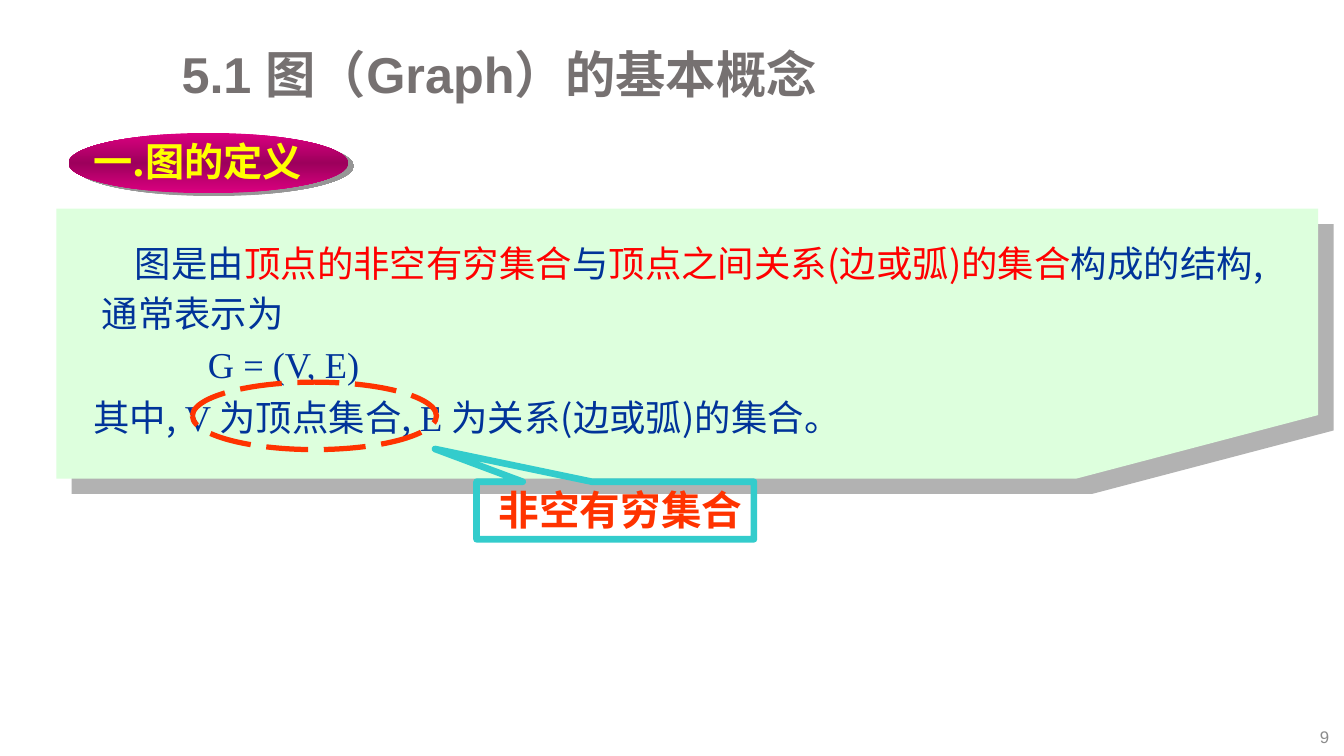
import pptx
import pptx.util
import pptx.dml.color
import pptx.enum.dml
import pptx.enum.shapes
import pptx.enum.text
import pptx.oxml
import pptx.oxml.ns
from dataclasses import dataclass
from pptx.util import Cm

qn = pptx.oxml.ns.qn
Pt = pptx.util.Pt
Shape = pptx.enum.shapes.MSO_SHAPE
Align = pptx.enum.text.PP_ALIGN
Anchor = pptx.enum.text.MSO_ANCHOR


@dataclass(frozen=True)
class Theme:
    sans: str = "Arial"
    han: str = "Noto Sans CJK SC"
    serif: str = "Times New Roman"
    gray: str = "767171"
    pale: str = "8C8C8C"
    mint: str = "DDFFDD"
    shade: str = "B2B2B2"
    dim: str = "969696"
    navy: str = "003399"
    red: str = "FF0000"
    pink: str = "DC0081"
    plum: str = "9D005C"
    gold: str = "FFFF00"
    teal: str = "33CCCC"
    flame: str = "FF3300"
    black: str = "000000"
    head: float = 36
    tag: float = 28
    note: float = 29
    body: float = 26
    foot: float = 12


theme = Theme()


def rgb(code):
    return pptx.dml.color.RGBColor.from_string(code)


def make(tag, inner="", **attrs):
    pairs = "".join(f' {key}="{val}"' for key, val in attrs.items())
    space = pptx.oxml.ns.nsdecls("a")
    return pptx.oxml.parse_xml(f"<a:{tag} {space}{pairs}>{inner}</a:{tag}>")


def cast(code, dist, angle):
    return make("outerShdw", f'<a:srgbClr val="{code}"/>', blurRad=0,
                dist=int(Pt(dist)), dir=int(angle * 60000), algn="ctr", rotWithShape=0)


def add_run(para, text, size, color, font=theme.han, bold=False):
    run = para.add_run()
    run.text = text
    run.font.size = Pt(size)
    run.font.bold = bold
    run.font.color.rgb = rgb(color)
    run.font.name = font
    run._r.rPr.find(qn("a:latin")).addnext(make("ea", typeface=theme.han))
    return run


def add_box(slide, left, top, width, height, wrap=True):
    box = slide.shapes.add_textbox(Cm(left), Cm(top), Cm(width), Cm(height))
    box.text_frame.word_wrap = wrap
    return box.text_frame


def add_form(slide, kind, left, top, width, height):
    form = slide.shapes.add_shape(kind, Cm(left), Cm(top), Cm(width), Cm(height))
    form.shadow.inherit = False
    return form


def add_frame(slide, kind, place, color, weight):
    form = add_form(slide, kind, *place)
    form.fill.background()
    form.line.color.rgb = rgb(color)
    form.line.width = Pt(weight)
    return form


def drop(form, *shade):
    form._element.spPr.find(qn("a:effectLst")).append(cast(*shade))


def add_title(slide):
    title = slide.shapes.title
    title.left, title.top, title.width, title.height = Cm(4.32), Cm(0.86), Cm(28.58), Cm(2.16)
    title.text_frame.vertical_anchor = Anchor.MIDDLE
    para = title.text_frame.paragraphs[0]
    para.alignment = Align.LEFT
    para.line_spacing = 0.9
    add_run(para, "5.1 图（Graph）的基本概念", theme.head, theme.gray, theme.sans, True)


def add_panel(slide):
    left, top, right, low = 1.42, 5.26, 33.22, 12.06
    edge = slide.shapes.build_freeform(Cm(left), Cm(top))
    edge.add_line_segments([(Cm(x), Cm(y)) for x, y in
                            [(right, top), (right, 10.46), (27.13, low), (left, low)]])
    panel = edge.convert_to_shape()
    panel.shadow.inherit = False
    panel.fill.solid()
    panel.fill.fore_color.rgb = rgb(theme.mint)
    panel.line.fill.background()
    drop(panel, theme.shade, 15.6, 45)


def add_body(slide):
    han, serif, navy, red = theme.han, theme.serif, theme.navy, theme.red
    lines = [
        (1.04, 0, [("图是由", navy, han), ("顶点的非空有穷集合", red, han), ("与", navy, han),
                   ("顶点之间关系(边或弧)的集合", red, han), ("构成的结构, 通常表示为", navy, han)]),
        (2.88, 0, [("G = (V, E)", navy, serif)]),
        (0, 2.6, [("其中, ", navy, han), ("V ", navy, serif), ("为顶点集合, ", navy, han),
                  ("E ", navy, serif), ("为关系(边或弧)的集合。", navy, han)]),
    ]
    frame = add_box(slide, 2.11, 5.79, 29.79, 5.44)
    for rank, (indent, gap, runs) in enumerate(lines):
        para = frame.add_paragraph() if rank else frame.paragraphs[0]
        para._p.get_or_add_pPr().set("indent", str(int(Cm(indent))))
        para.line_spacing = 1.15
        if gap:
            para.space_before = Pt(gap)
        for text, color, font in runs:
            add_run(para, text, theme.body, color, font)


def add_tag(slide):
    oval = add_form(slide, Shape.OVAL, 1.73, 3.35, 7.04, 1.52)
    oval.line.fill.background()
    oval.fill.gradient()
    stops = "".join(f'<a:gs pos="{spot}"><a:srgbClr val="{code}"/></a:gs>' for spot, code in
                    [(0, theme.pink), (50000, theme.plum), (100000, theme.pink)])
    blend = make("gradFill", f'<a:gsLst>{stops}</a:gsLst><a:lin ang="5400000" scaled="0"/>')
    look = oval._element.spPr
    look.replace(look.find(qn("a:gradFill")), blend)
    drop(oval, theme.dim, 4.5, 27)
    frame = add_box(slide, 2.11, 3.33, 8.43, 1.45)
    add_run(frame.paragraphs[0], "一.图的定义", theme.tag, theme.gold, bold=True)


def add_note(slide):
    call = add_frame(slide, Shape.RECTANGULAR_CALLOUT, (12.01, 12.14, 6.99, 1.45), theme.teal, 4.75)
    call.adjustments[0], call.adjustments[1] = -0.65, -1.07
    frame = add_box(slide, 12.32, 12.09, 6.68, 1.47, False)
    run = add_run(frame.paragraphs[0], "非空有穷集合", theme.note, theme.flame, theme.serif, True)
    glow = make("effectLst")
    glow.append(cast(theme.black, 2, 45))
    run._r.rPr.find(qn("a:solidFill")).addnext(glow)
    ring = add_frame(slide, Shape.OVAL, (4.85, 9.63, 6.15, 1.7), theme.flame, 3.75)
    ring.line.dash_style = pptx.enum.dml.MSO_LINE.LONG_DASH


def add_foot(slide):
    frame = add_box(slide, 32.56, 18.08, 1.19, 0.97)
    frame.vertical_anchor = Anchor.MIDDLE
    para = frame.paragraphs[0]
    para.alignment = Align.RIGHT
    add_run(para, "9", theme.foot, theme.pale, theme.sans)


def main():
    deck = pptx.Presentation()
    deck.slide_width, deck.slide_height = Cm(33.87), Cm(19.05)
    slide = deck.slides.add_slide(deck.slide_layouts[5])
    for part in (add_title, add_foot, add_panel, add_body, add_tag, add_note):
        part(slide)
    deck.save("out.pptx")


if __name__ == "__main__":
    main()
